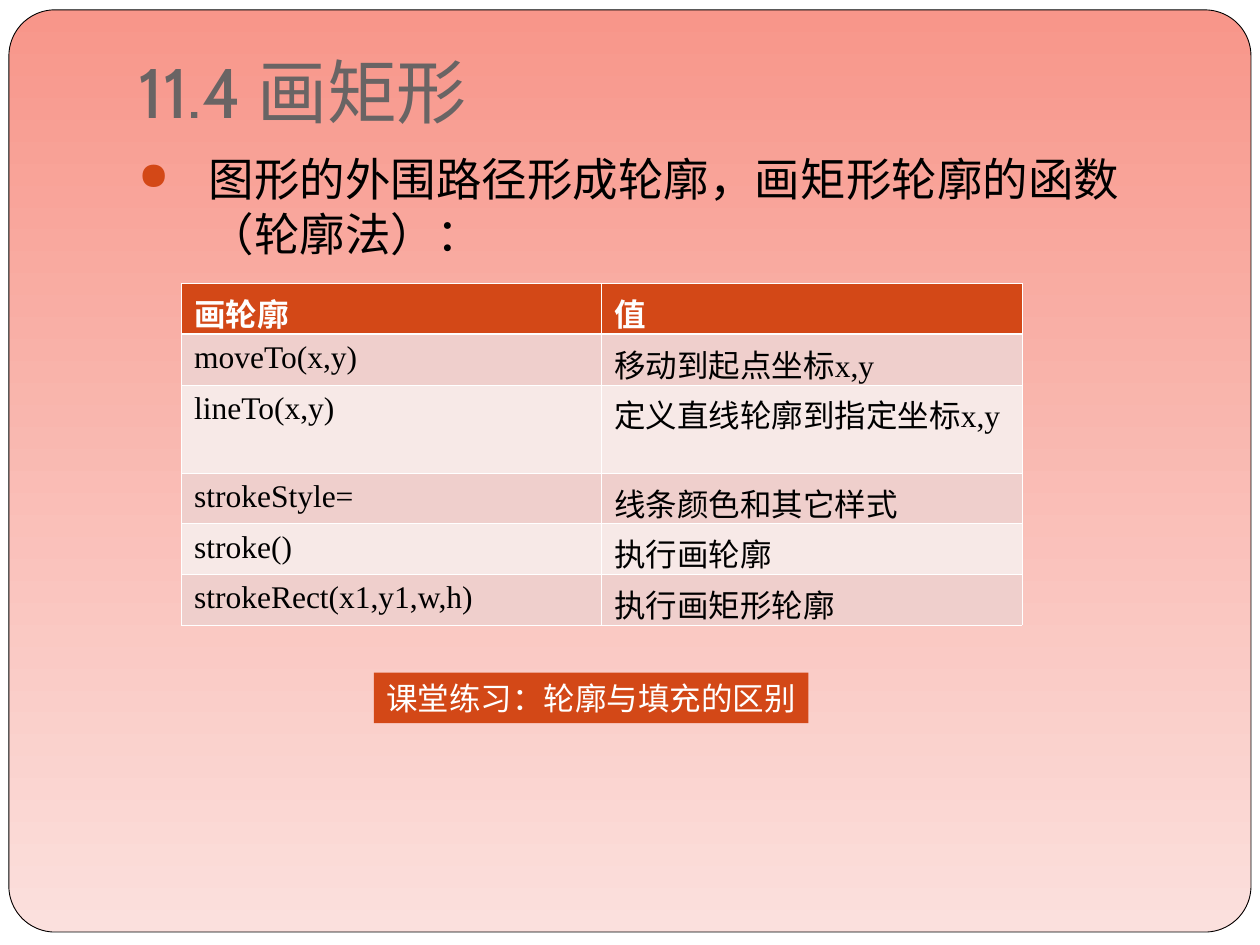
from lxml import etree
from pptx import Presentation
from pptx.dml.color import RGBColor
from pptx.enum.shapes import MSO_SHAPE
from pptx.enum.text import MSO_ANCHOR, MSO_AUTO_SIZE, PP_ALIGN
from pptx.oxml.ns import qn
from pptx.util import Cm, Pt

RECTANGLE = MSO_SHAPE.RECTANGLE
ROUNDED = MSO_SHAPE.ROUNDED_RECTANGLE
TOP, BOTTOM = MSO_ANCHOR.TOP, MSO_ANCHOR.BOTTOM
LEFT = PP_ALIGN.LEFT
FIT_SHAPE = MSO_AUTO_SIZE.SHAPE_TO_FIT_TEXT

WHITE = RGBColor(0xFF, 0xFF, 0xFF)
BLACK = RGBColor(0x00, 0x00, 0x00)
GRAY = RGBColor(0x69, 0x64, 0x64)
ORANGE = RGBColor(0xD3, 0x48, 0x17)
CORAL = RGBColor(0xF8, 0x96, 0x8A)
BLUSH = RGBColor(0xFB, 0xE0, 0xDD)
BANDS = (RGBColor(0xF7, 0xE9, 0xE7), RGBColor(0xEF, 0xCF, 0xCC))

SERIF = "Times New Roman"
THIN, THICK = Pt(0.45), Pt(1.47)

FUNCTIONS = [
    ("画轮廓", "值"),
    ("moveTo(x,y)", "移动到起点坐标x,y"),
    ("lineTo(x,y)", "定义直线轮廓到指定坐标x,y"),
    ("strokeStyle=", "线条颜色和其它样式"),
    ("stroke()", "执行画轮廓"),
    ("strokeRect(x1,y1,w,h)", "执行画矩形轮廓"),
]
ROW_HEIGHT, TALL_ROW_HEIGHT, TALL_ROW = Cm(1.02), Cm(1.78), 2
COLUMN_WIDTH = Cm(8.47)


def fill_gradient(fill):
    fill.gradient()
    fill.gradient_angle = 270
    for stop, color in zip(fill.gradient_stops, (CORAL, BLUSH)):
        stop.color.rgb = color


def write_text(frame, text, *, size, font, color, bold=False, bullet=None):
    paragraph = frame.paragraphs[0]
    paragraph.alignment = LEFT
    if bullet:
        add_bullet(paragraph, bullet)
    run = paragraph.add_run()
    run.text = text
    run.font.size = Pt(size)
    run.font.name = font
    run.font.bold = bold
    run.font.color.rgb = color


def add_bullet(paragraph, symbol):
    properties = paragraph._p.get_or_add_pPr()
    hanging = Cm(1.42)
    properties.set("marL", str(hanging))
    properties.set("indent", str(-hanging))
    bullet_color = etree.SubElement(properties, qn("a:buClr"))
    etree.SubElement(bullet_color, qn("a:srgbClr"), val=str(ORANGE))
    etree.SubElement(properties, qn("a:buSzPct"), val="85000")
    etree.SubElement(properties, qn("a:buChar"), char=symbol)


def add_text_box(slide, left, top, width, height, text, anchor=TOP, **text_format):
    frame = slide.shapes.add_textbox(left, top, width, height).text_frame
    frame.word_wrap = True
    frame.vertical_anchor = anchor
    write_text(frame, text, **text_format)
    return frame


def add_panel(slide, kind, left, top, width, height, color=None):
    panel = slide.shapes.add_shape(kind, left, top, width, height)
    panel.shadow.inherit = False
    panel.line.fill.background()
    if color is None:
        fill_gradient(panel.fill)
    else:
        panel.fill.solid()
        panel.fill.fore_color.rgb = color
    return panel


def add_borders(cell, top, bottom):
    properties = cell._tc.get_or_add_tcPr()
    for side, width in (("L", THIN), ("R", THIN), ("T", top), ("B", bottom)):
        border = etree.SubElement(properties, qn(f"a:ln{side}"), w=str(width))
        border_fill = etree.SubElement(border, qn("a:solidFill"))
        etree.SubElement(border_fill, qn("a:srgbClr"), val=str(WHITE))


def add_function_table(slide, left, top):
    row_count, column_count = len(FUNCTIONS), len(FUNCTIONS[0])
    heights = [TALL_ROW_HEIGHT if row == TALL_ROW else ROW_HEIGHT
               for row in range(row_count)]
    table = slide.shapes.add_table(row_count, column_count, left, top,
                                   COLUMN_WIDTH * column_count, sum(heights)).table
    for column in table.columns:
        column.width = COLUMN_WIDTH
    for row, texts in enumerate(FUNCTIONS):
        table.rows[row].height = heights[row]
        is_header = row == 0
        for column, text in enumerate(texts):
            cell = table.cell(row, column)
            add_borders(cell, top=THICK if row == 1 else THIN,
                        bottom=THICK if is_header else THIN)
            cell.fill.solid()
            cell.fill.fore_color.rgb = ORANGE if is_header else BANDS[row % 2]
            write_text(cell.text_frame, text, size=18, font=SERIF,
                       color=WHITE if is_header else BLACK, bold=is_header)


def add_exercise(slide, left, top, width, height, text):
    exercise = add_panel(slide, RECTANGLE, left, top, width, height, ORANGE)
    frame = exercise.text_frame
    frame.word_wrap = False
    frame.auto_size = FIT_SHAPE
    frame.vertical_anchor = TOP
    write_text(frame, text, size=18, font="Arial", color=WHITE)


def main():
    deck = Presentation()
    deck.slide_width, deck.slide_height = Cm(25.4), Cm(19.05)
    slide = deck.slides.add_slide(deck.slide_layouts[6])
    fill_gradient(slide.background.fill)

    add_panel(slide, RECTANGLE, 0, 0, deck.slide_width, deck.slide_height, WHITE)
    card = add_panel(slide, ROUNDED, Cm(0.18), Cm(0.2), Cm(25.04), Cm(18.59))
    card.adjustments[0] = 0.05
    card.line.color.rgb = BLACK
    card.line.width = Pt(0.5)

    title = add_text_box(slide, Cm(2.54), Cm(0.76), Cm(21.59), Cm(2.16),
                         "11.4 画矩形", anchor=BOTTOM,
                         size=40, font="Cabin", color=GRAY)
    title.margin_bottom = Cm(0.25)
    add_text_box(slide, Cm(2.54), Cm(2.92), Cm(21.59), Cm(13.79),
                 "图形的外围路径形成轮廓，画矩形轮廓的函数（轮廓法）：",
                 size=26, font=SERIF, color=BLACK, bullet="●")
    add_exercise(slide, Cm(7.54), Cm(13.56), Cm(8.76), Cm(1.02),
                 "课堂练习：轮廓与填充的区别")
    add_function_table(slide, Cm(3.66), Cm(5.72))

    deck.save("out.pptx")


if __name__ == "__main__":
    main()
